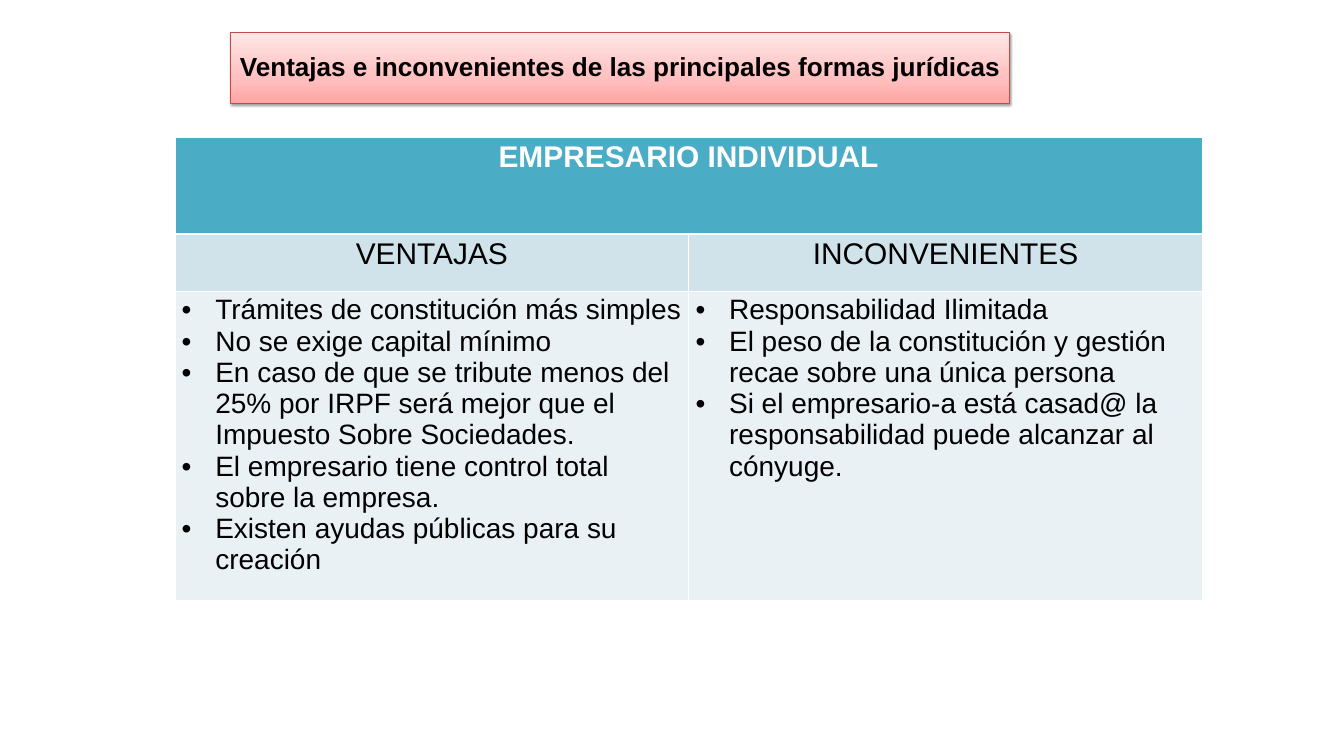
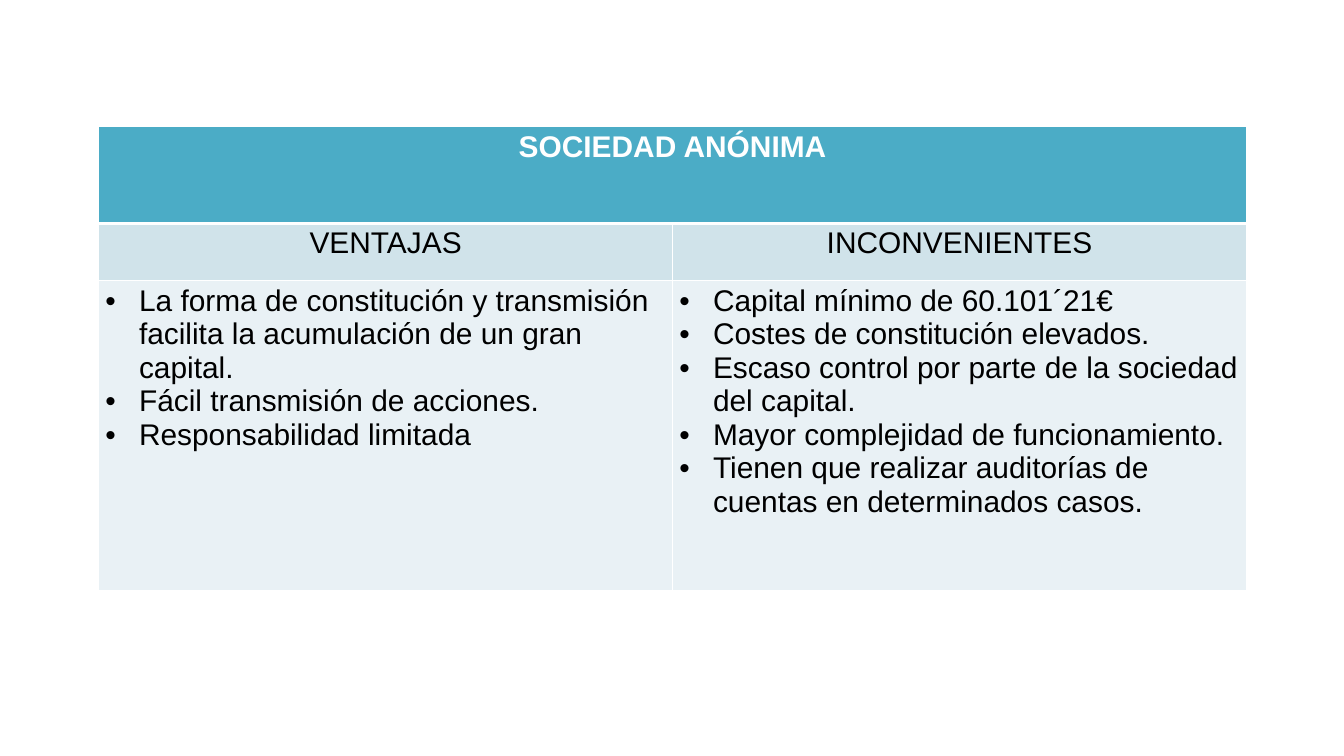
from copy import deepcopy
from dataclasses import dataclass

from pptx import Presentation
from pptx.dml.color import RGBColor
from pptx.enum.text import MSO_ANCHOR as Anchor, MSO_AUTO_SIZE as AutoSize, PP_ALIGN as Align
from pptx.oxml import parse_xml
from pptx.oxml.ns import nsdecls, qn
from pptx.util import Emu, Pt

TITLE_ONLY, BLANK = 5, 6
ROW_HEIGHTS = (138, 82, 442)
HEADINGS = ("VENTAJAS", "INCONVENIENTES")


@dataclass(frozen=True)
class Theme:
    font: str = "Arial"
    ink: str = "000000"
    paper: str = "FFFFFF"
    row_fills: tuple = ("4BACC6", "D0E3EA", "E9F1F5")
    title_stops: tuple = ((0, "FFA6A5"), (0.35, "FFC0BF"), (1, "FFE7E7"))
    title_line: str = "BF4C48"
    title_size: int = 28
    heading_size: int = 32
    small_list_size: int = 30
    thin: int = 1
    thick: int = 3
    bullet_indent: int = 48


def px(length):
    return Emu(length * 9525)


def rgb(code):
    return RGBColor.from_string(code)


class PageBuilder:
    """Holds the theme and draws each kind of element on the current slide."""

    def __init__(self, theme):
        self.theme = theme
        self.deck = Presentation()
        self.deck.slide_width, self.deck.slide_height = px(1920), px(1080)
        self.page = None

    def new_page(self, layout):
        self.page = self.deck.slides.add_slide(self.deck.slide_layouts[layout])

    def style(self, para, size, color, bold=False):
        for span in para.runs:
            font = span.font
            font.name, font.size, font.bold = self.theme.font, Pt(size), bold
            font.color.rgb = rgb(color)

    def title(self, text, left, top, width, height):
        box = self.page.shapes.title
        box.left, box.top, box.width, box.height = map(px, (left, top, width, height))
        self.title_finish(box)
        frame = box.text_frame
        frame.text = text
        frame.word_wrap = True
        frame.auto_size = AutoSize.NONE
        frame.vertical_anchor = Anchor.MIDDLE
        para = frame.paragraphs[0]
        para.alignment = Align.CENTER
        para.line_spacing = 0.9
        self.style(para, self.theme.title_size, self.theme.ink, bold=True)

    def title_finish(self, box):
        box.fill.gradient()
        box.fill.gradient_angle = 90
        properties = box._element.spPr
        stop_list = properties.find(".//" + qn("a:gsLst"))
        stop_list.insert(1, deepcopy(stop_list[0]))
        for stop, (position, color) in zip(box.fill.gradient_stops, self.theme.title_stops):
            stop.position = position
            stop.color.rgb = rgb(color)
        box.line.color.rgb = rgb(self.theme.title_line)
        box.line.width = Pt(0.75)
        box.shadow.inherit = False
        properties.find(qn("a:effectLst")).append(parse_xml(
            f'<a:outerShdw {nsdecls("a")} blurRad="{Pt(3.1)}" dist="{Pt(1.6)}" dir="5400000" '
            f'rotWithShape="0"><a:srgbClr val="{self.theme.ink}"><a:alpha val="38000"/>'
            '</a:srgbClr></a:outerShdw>'))

    def comparison(self, heading, lists, left, top, column_width, list_size):
        frame = self.page.shapes.add_table(
            len(ROW_HEIGHTS), len(HEADINGS), px(left), px(top),
            px(column_width * len(HEADINGS)), px(sum(ROW_HEIGHTS)))
        table = frame.table
        for row, height in zip(table.rows, ROW_HEIGHTS):
            row.height = px(height)
        for row_index, fill in enumerate(self.theme.row_fills):
            for column_index in range(len(HEADINGS)):
                self.cell_finish(table.cell(row_index, column_index), row_index, fill)
        table.cell(0, 0).merge(table.cell(0, len(HEADINGS) - 1))
        self.heading(table.cell(0, 0), heading, self.theme.paper, bold=True)
        for column_index, (label, items) in enumerate(zip(HEADINGS, lists)):
            self.heading(table.cell(1, column_index), label, self.theme.ink)
            self.bullets(table.cell(2, column_index), items, list_size)

    def cell_finish(self, cell, row_index, color):
        cell.fill.solid()
        cell.fill.fore_color.rgb = rgb(color)
        properties = cell._tc.get_or_add_tcPr()
        heavy_edge = {0: "B", 1: "T"}.get(row_index)
        for index, edge in enumerate("LRTB"):
            width = Pt(self.theme.thick if edge == heavy_edge else self.theme.thin)
            properties.insert(index, parse_xml(
                f'<a:ln{edge} {nsdecls("a")} w="{width}"><a:solidFill>'
                f'<a:srgbClr val="{self.theme.paper}"/></a:solidFill></a:ln{edge}>'))

    def heading(self, cell, text, color, bold=False):
        cell.text_frame.text = text
        para = cell.text_frame.paragraphs[0]
        para.alignment = Align.CENTER
        self.style(para, self.theme.heading_size, color, bold)

    def bullets(self, cell, items, size):
        cell.text_frame.text = "\n".join(items)
        indent = px(self.theme.bullet_indent)
        for para in cell.text_frame.paragraphs:
            self.style(para, size, self.theme.ink)
            properties = para._p.get_or_add_pPr()
            properties.set("marL", str(indent))
            properties.set("indent", str(-indent))
            for mark in (f'<a:buClr {nsdecls("a")}><a:srgbClr val="{self.theme.ink}"/></a:buClr>',
                         f'<a:buFont {nsdecls("a")} typeface="{self.theme.font}"/>',
                         f'<a:buChar {nsdecls("a")} char="•"/>'):
                properties.append(parse_xml(mark))


def main():
    theme = Theme()
    builder = PageBuilder(theme)

    builder.new_page(TITLE_ONLY)
    builder.title("Ventajas e inconvenientes de las principales formas jurídicas",
                  329, 46, 1113, 101)
    builder.comparison("EMPRESARIO INDIVIDUAL", (
        ("Trámites de constitución más simples",
         "No se exige capital mínimo",
         "En caso de que se tribute menos del 25% por IRPF será mejor que el "
         "Impuesto Sobre Sociedades.",
         "El empresario tiene control total sobre la empresa.",
         "Existen ayudas públicas para su creación"),
        ("Responsabilidad Ilimitada",
         "El peso de la constitución y gestión recae sobre una única persona",
         "Si el empresario-a está casad@ la responsabilidad puede alcanzar al cónyuge."),
    ), 250, 196, 734, theme.small_list_size)

    builder.new_page(BLANK)
    builder.comparison("SOCIEDAD ANÓNIMA", (
        ("La forma de constitución y transmisión facilita la acumulación de un gran capital.",
         "Fácil transmisión de acciones.",
         "Responsabilidad limitada"),
        ("Capital mínimo de 60.101´21€",
         "Costes de constitución elevados.",
         "Escaso control por parte de la sociedad del capital.",
         "Mayor complejidad de funcionamiento.",
         "Tienen que realizar auditorías de cuentas en determinados casos."),
    ), 141, 181, 820, theme.heading_size)

    builder.deck.save("out.pptx")


if __name__ == "__main__":
    main()
